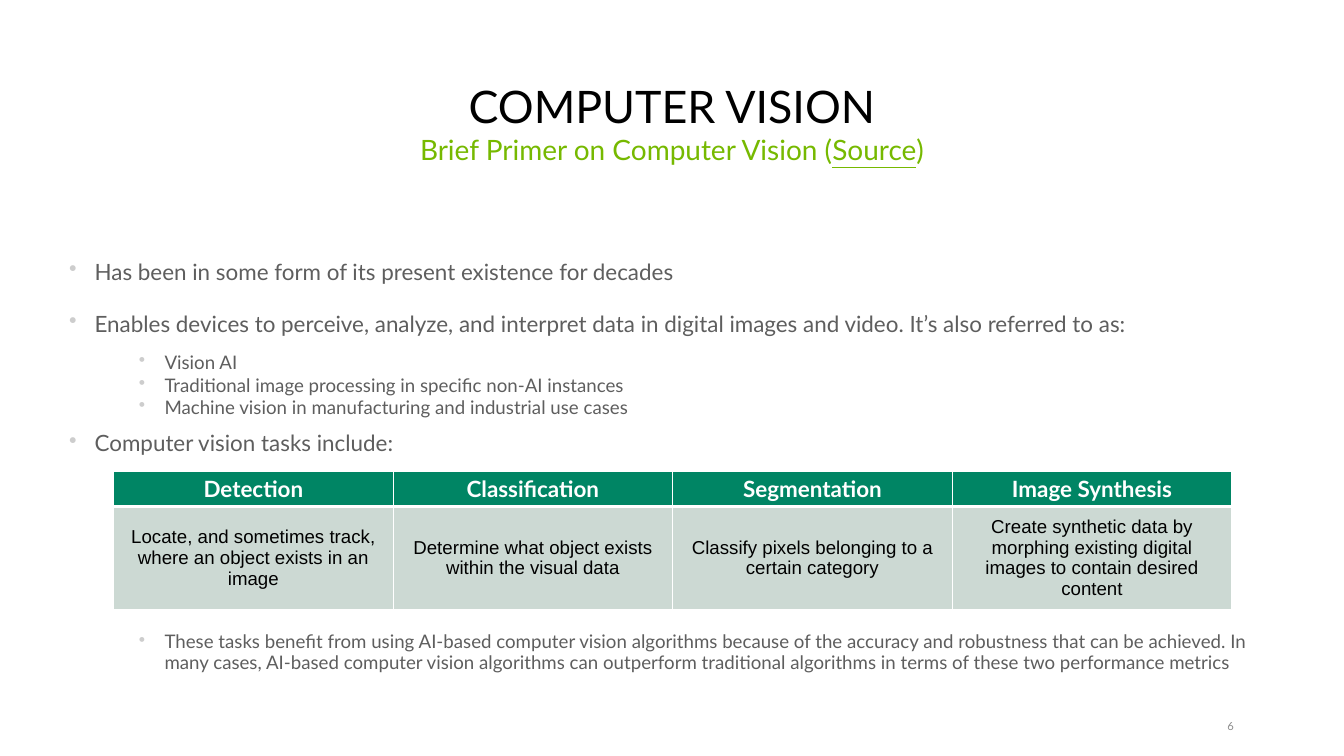
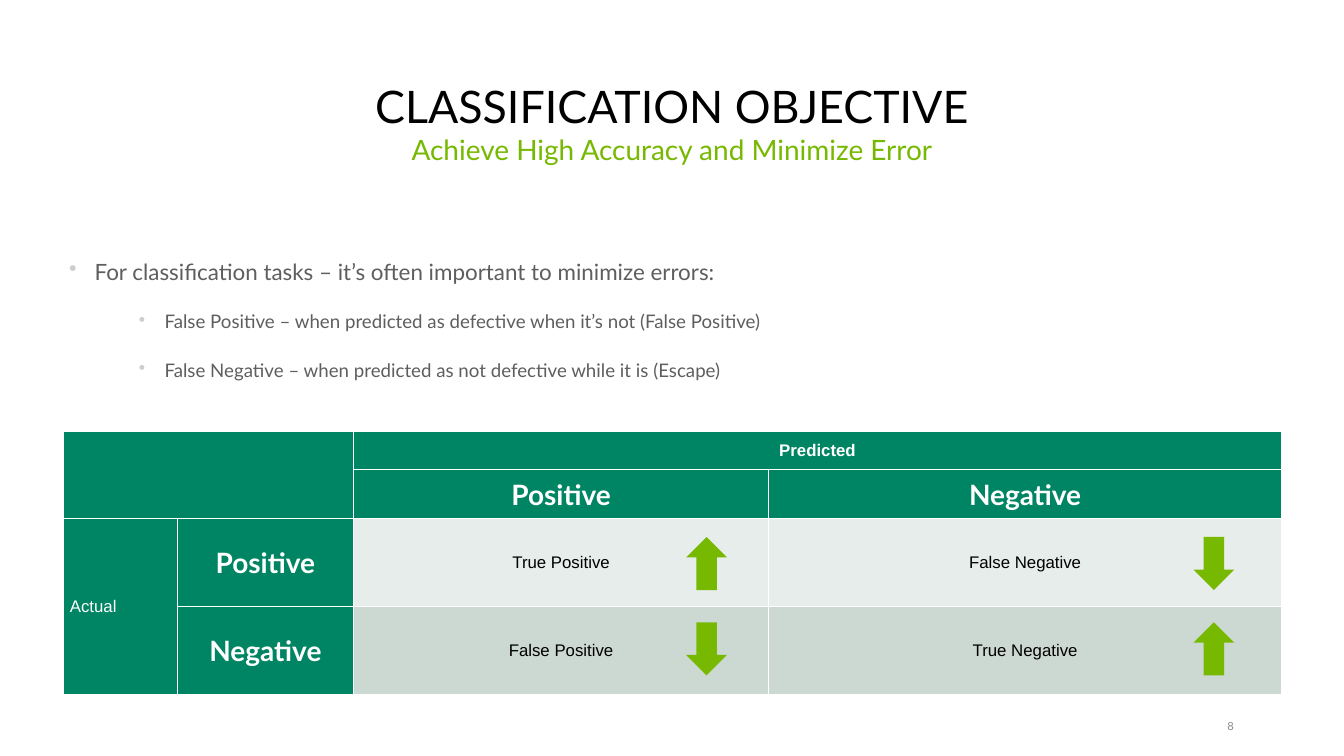
import pptx
import pptx.util
import pptx.dml.color
import pptx.enum.shapes
import pptx.enum.text
from lxml import etree
from pptx.oxml.ns import qn

Inches, Pt = pptx.util.Inches, pptx.util.Pt
ALIGN, ANCHOR = pptx.enum.text.PP_ALIGN, pptx.enum.text.MSO_ANCHOR
SHAPE = pptx.enum.shapes.MSO_SHAPE

WIDE, HIGH = 20, 11.25
BLACK, WHITE, GREY, PALE = "000000", "FFFFFF", "5E5E5E", "8C8C8C"
DOT, LIME, GREEN, SAGE, MIST = "CDCDCD", "76B900", "008564", "CCD9D3", "E7EDEA"

# Bullets: (level, text, space before, space after, line spacing)
TASKS = [
    (0, "Has been in some form of its present existence for decades", 0, 15, 0.9),
    (0, "Enables devices to perceive, analyze, and interpret data in digital "
        "images and video. It’s also referred to as:", 15, 15, 0.9),
    (1, "Vision AI", 0, 0, 1.0),
    (1, "Traditional image processing in specific non-AI instances", 0, 0, 1.0),
    (1, "Machine vision in manufacturing and industrial use cases", 0, 0, 1.0),
    (0, "Computer vision tasks include:", 15, 15, 0.9),
    (1, "These tasks benefit from using AI-based computer vision algorithms "
        "because of the accuracy and robustness that can be achieved. In many "
        "cases, AI-based computer vision algorithms can outperform traditional "
        "algorithms in terms of these two performance metrics", 174, 15, 0.9),
]
ERRORS = [
    (0, "For classification tasks – it’s often important to minimize errors:",
     0, 15, 0.9),
    (1, "False Positive – when predicted as defective when it’s not "
        "(False Positive)", 15, 15, 0.9),
    (1, "False Negative – when predicted as not defective while it is (Escape)",
     15, 15, 0.9),
]

# Cell looks: fill, size, font, colour, bold, alignment
LOOKS = {
    "head": (GREEN, 24, "Lato", WHITE, True, ALIGN.CENTER),
    "task": (SAGE, 20, "Arial", BLACK, False, ALIGN.CENTER),
    "axis": (GREEN, 18, "Arial", WHITE, True, ALIGN.CENTER),
    "side": (GREEN, 18, "Arial", WHITE, False, ALIGN.LEFT),
    "class": (GREEN, 30, "Lato", WHITE, True, ALIGN.CENTER),
    "light": (MIST, 18, "Arial", BLACK, False, ALIGN.CENTER),
    "dark": (SAGE, 18, "Arial", BLACK, False, ALIGN.CENTER),
}
KINDS = [
    [(name, "head") for name in
     ("Detection", "Classification", "Segmentation", "Image Synthesis")],
    [(text, "task") for text in (
        "Locate, and sometimes track, where an object exists in an image",
        "Determine what object exists within the visual data",
        "Classify pixels belonging to a certain category",
        "Create synthetic data by morphing existing digital images to contain "
        "desired content")],
]
MATRIX = [
    [("", "axis"), ("", "axis"), ("Predicted", "axis"), ("", "axis")],
    [("", "axis"), ("", "axis"), ("Positive", "class"), ("Negative", "class")],
    [("Actual", "side"), ("Positive", "class"),
     ("True Positive", "light"), ("False Negative", "light")],
    [("", "side"), ("Negative", "class"),
     ("False Positive", "dark"), ("True Negative", "dark")],
]
MERGES = [((0, 0), (1, 1)), ((0, 2), (0, 3)), ((2, 0), (3, 0))]
ARROWS = [[SHAPE.UP_ARROW, SHAPE.DOWN_ARROW],
          [SHAPE.DOWN_ARROW, SHAPE.UP_ARROW]]


def rgb(code):
    return pptx.dml.color.RGBColor.from_string(code)


def style(par, size, font, hue, bold=False, align=ALIGN.LEFT):
    par.alignment = align
    for run in par.runs:
        face = run.font
        face.size, face.name, face.bold = Pt(size), font, bold
        face.color.rgb = rgb(hue)


def frame(slide, left, top, wide, high, anchor=ANCHOR.TOP):
    """Add a wrapping text box and return its text frame."""
    box = slide.shapes.add_textbox(*map(Inches, (left, top, wide, high)))
    text = box.text_frame
    text.word_wrap, text.vertical_anchor = True, anchor
    return text


def base(deck, title, parts, page):
    """Add a slide with title, subtitle and page number."""
    slide = deck.slides.add_slide(deck.slide_layouts[6])
    foot = frame(slide, 17.77, 10.71, 0.59, 0.2, ANCHOR.MIDDLE)
    foot.margin_left = foot.margin_right = 0
    foot.margin_top = foot.margin_bottom = 0
    foot.text = str(page)
    style(foot.paragraphs[0], 12, "Lato", PALE, align=ALIGN.RIGHT)

    edge = 0.91
    span = WIDE - 2 * edge
    head = frame(slide, edge, 0.95, span, 1.08, ANCHOR.BOTTOM)
    head.text = title
    sub = frame(slide, edge, 1.98, span, 0.96).paragraphs[0]
    for text, under in parts:
        run = sub.add_run()
        run.text, run.font.underline = text, under
    for par, size, hue in ((head.paragraphs[0], 48, BLACK), (sub, 30, LIME)):
        par.line_spacing = 0.9
        style(par, size, "Lato", hue, align=ALIGN.CENTER)
    return slide


def bullets(slide, items):
    body = frame(slide, 0.93, 3.83, 18.13, 6.73)
    for i, (level, text, before, after, line) in enumerate(items):
        par = body.add_paragraph() if i else body.paragraphs[0]
        par.text, par.level = text, level
        props = par._p.get_or_add_pPr()
        props.set("marL", str(Inches((0.38, 1.42)[level])))
        props.set("indent", str(-Inches(0.38)))
        tint = etree.SubElement(props, qn("a:buClr"))
        etree.SubElement(tint, qn("a:srgbClr"), val=DOT)
        etree.SubElement(props, qn("a:buChar"), char="•")
        par.space_before, par.space_after = Pt(before), Pt(after)
        par.line_spacing = line
        style(par, (24, 20)[level], "Lato", GREY)


def border(cell, low):
    """Draw white cell borders, the bottom one low points wide."""
    props = cell._tc.get_or_add_tcPr()
    for side, size in (("L", 1), ("R", 1), ("T", 1), ("B", low)):
        line = etree.SubElement(props, qn("a:ln" + side), w=str(Pt(size)))
        fill = etree.SubElement(line, qn("a:solidFill"))
        etree.SubElement(fill, qn("a:srgbClr"), val=WHITE)


def grid(slide, left, top, cols, rows, cells, merges=()):
    """Add a table from (text, look) cells."""
    spot = map(Inches, (left, top, sum(cols), sum(rows)))
    table = slide.shapes.add_table(len(rows), len(cols), *spot).table
    table.first_row = table.horz_banding = False
    for col, wide in zip(table.columns, cols):
        col.width = Inches(wide)
    for row, high, line in zip(table.rows, rows, cells):
        row.height = Inches(high)
        for cell, (text, look) in zip(row.cells, line):
            fill, *face = LOOKS[look]
            border(cell, 3 if look == "head" else 1)
            cell.fill.solid()
            cell.fill.fore_color.rgb = rgb(fill)
            cell.vertical_anchor = ANCHOR.MIDDLE
            cell.text = text
            style(cell.text_frame.paragraphs[0], *face)
    for first, last in merges:
        table.cell(*first).merge(table.cell(*last))


def arrows(slide):
    for top, line in zip((7.99, 9.26), ARROWS):
        for left, kind in zip((10.21, 17.76), line):
            spot = map(Inches, (left, top, 0.61, 0.79))
            arrow = slide.shapes.add_shape(kind, *spot)
            arrow.shadow.inherit = False
            arrow.fill.solid()
            arrow.fill.fore_color.rgb = rgb(LIME)
            arrow.line.fill.background()


def main():
    deck = pptx.Presentation()
    deck.slide_width, deck.slide_height = Inches(WIDE), Inches(HIGH)

    vision = base(deck, "COMPUTER VISION",
                  [("Brief Primer on Computer Vision (", False),
                   ("Source", True), (")", False)], 6)
    bullets(vision, TASKS)
    grid(vision, 1.69, 7.01, [4.16] * 4, [0.53, 1.53], KINDS)

    goal = base(deck, "CLASSIFICATION OBJECTIVE",
                [("Achieve High Accuracy and Minimize Error", False)], 8)
    bullets(goal, ERRORS)
    grid(goal, 0.94, 6.42, [1.7, 2.62, 6.18, 7.63],
         [0.57, 0.73, 1.31, 1.31], MATRIX, MERGES)
    arrows(goal)

    deck.save("out.pptx")


if __name__ == "__main__":
    main()
